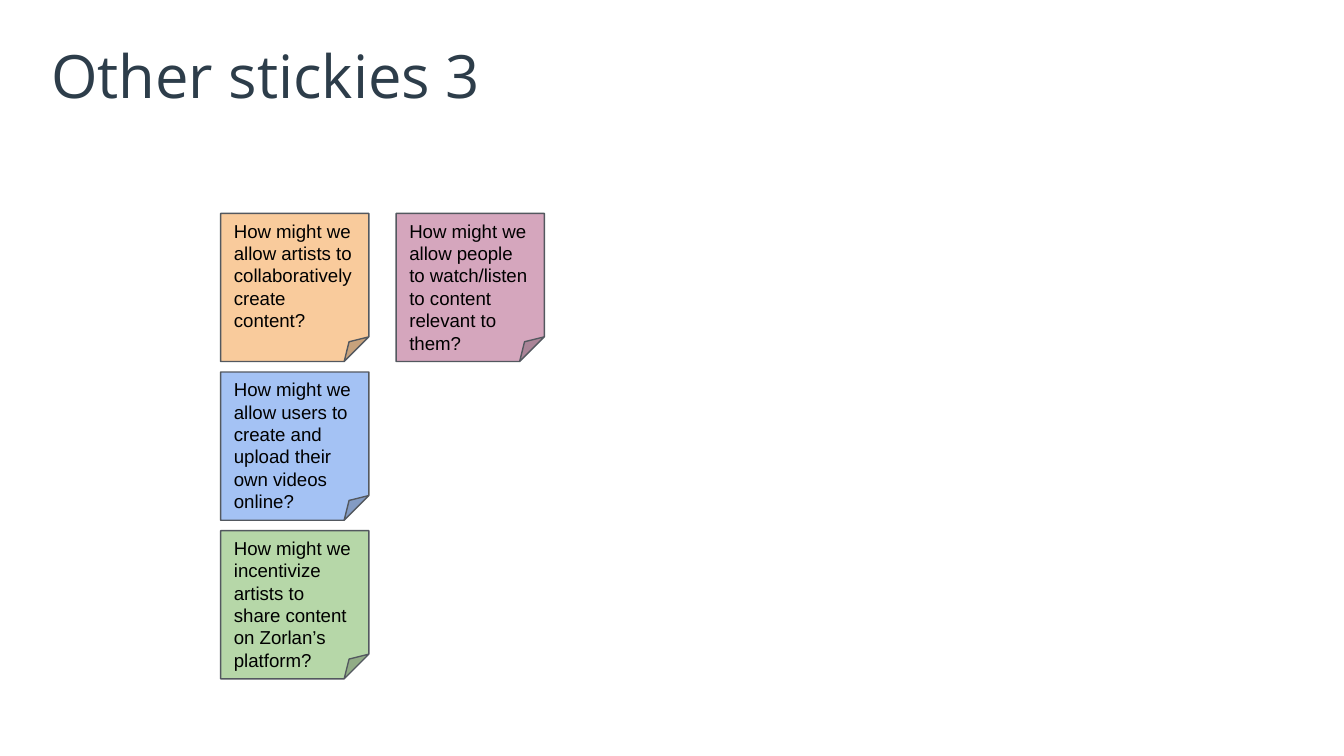
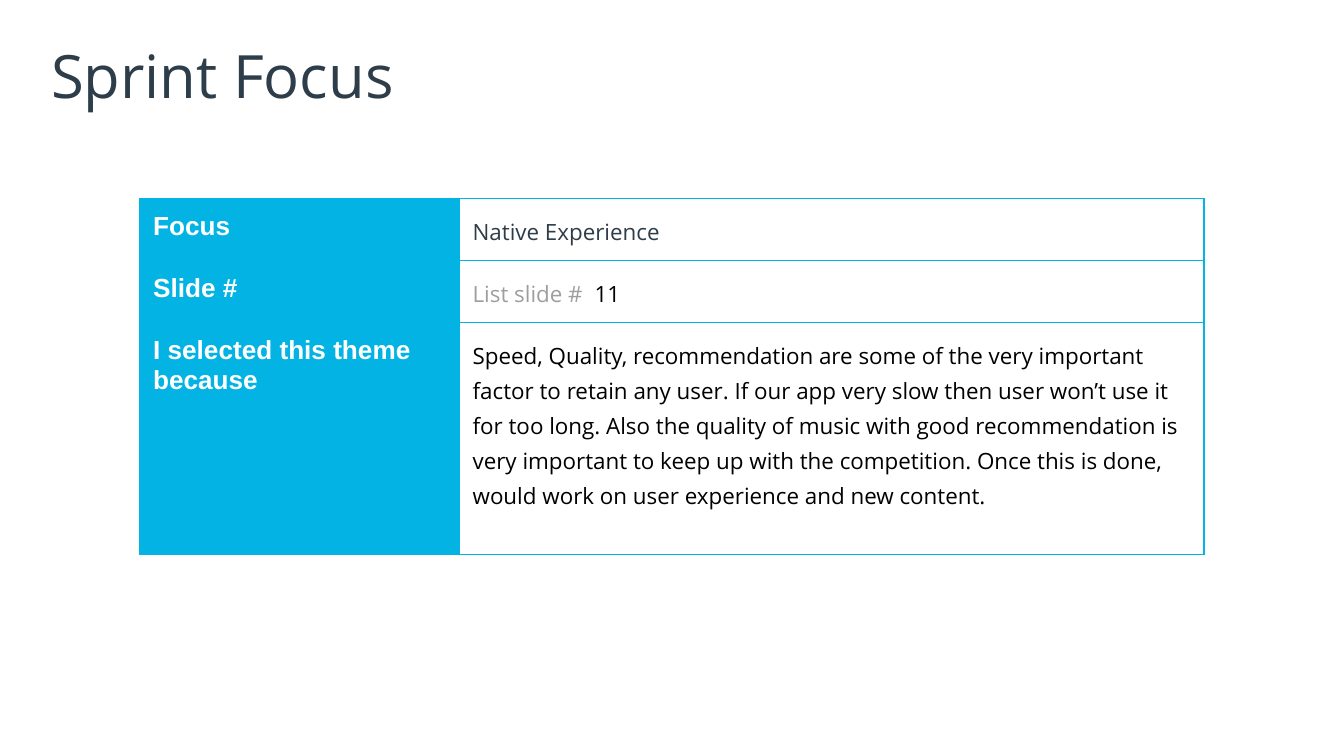
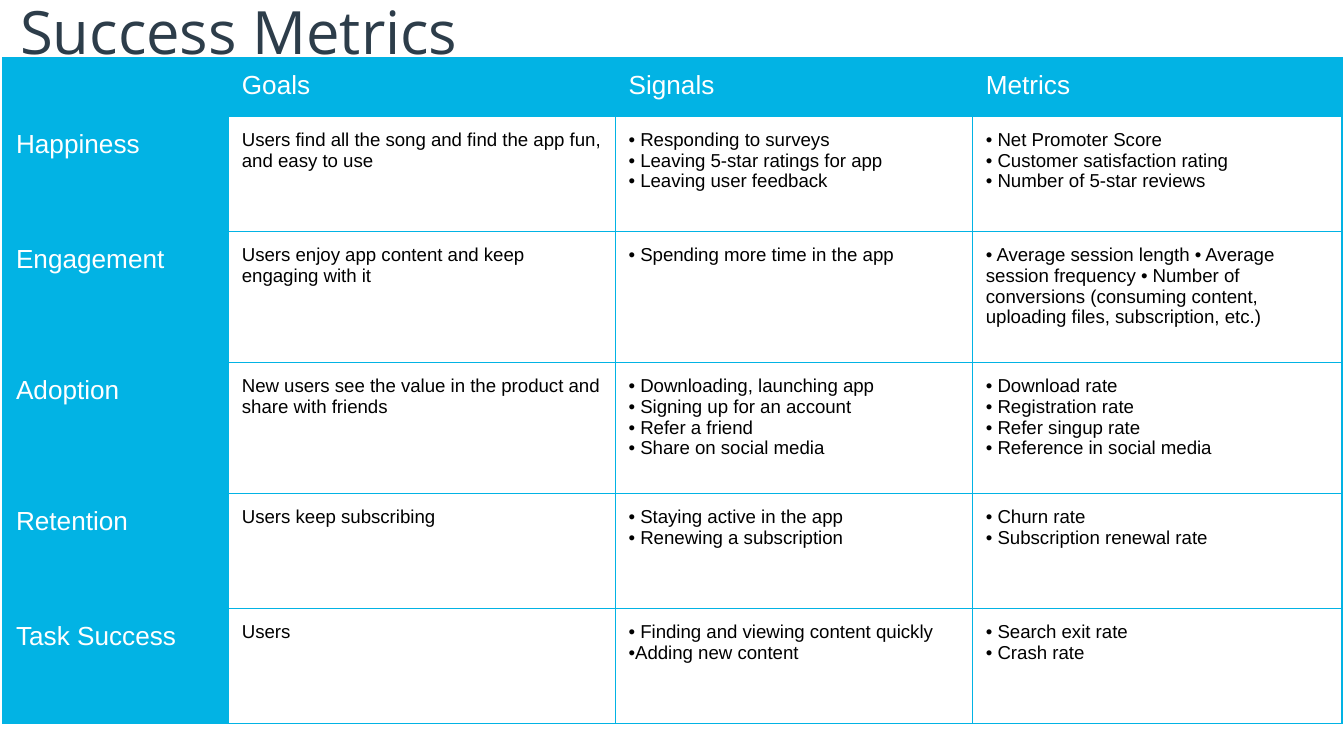
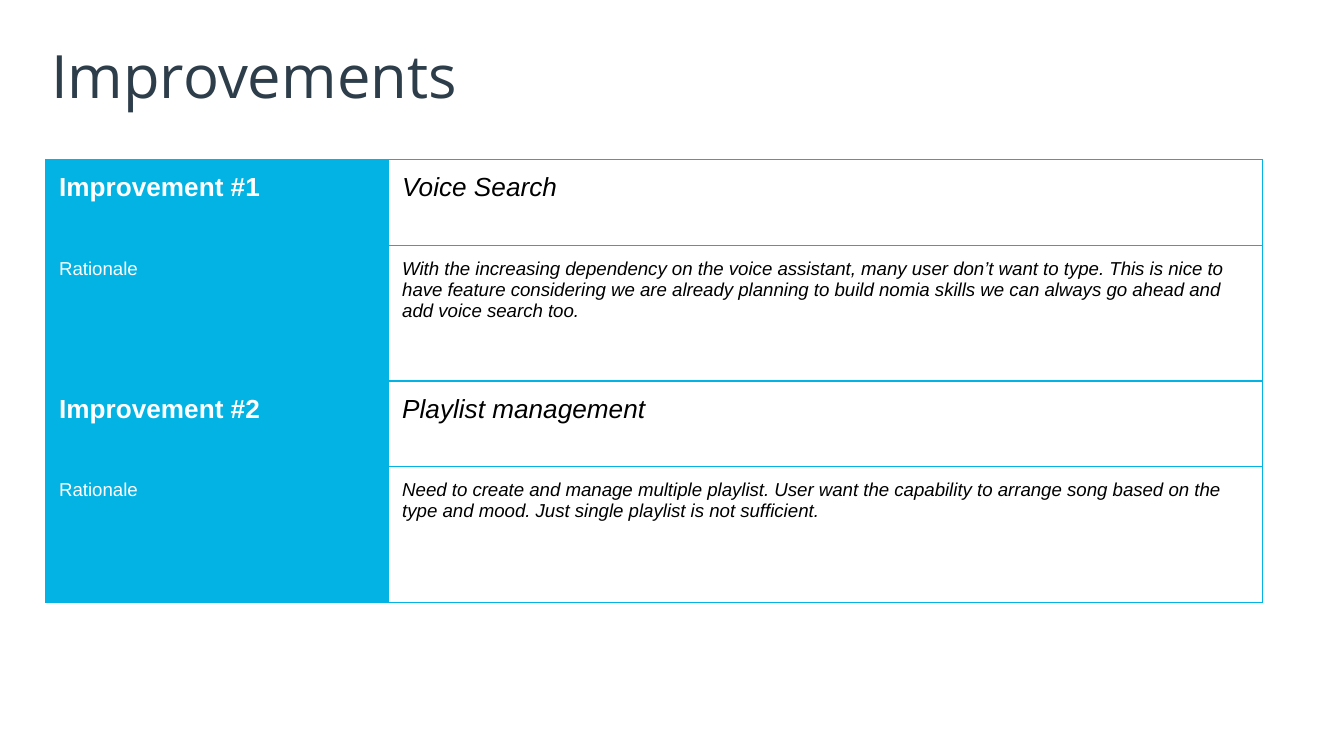
"""Builds four design sprint slides: stickies, focus, metrics and improvements."""
import pptx
import pptx.dml.color
import pptx.enum.shapes
import pptx.enum.text
import pptx.oxml
import pptx.oxml.ns
import pptx.util

Pt = pptx.util.Pt
RGBColor = pptx.dml.color.RGBColor
Anchor = pptx.enum.text.MSO_ANCHOR

WHITE = RGBColor(0xFF, 0xFF, 0xFF)
BLACK = RGBColor(0, 0, 0)
CYAN = RGBColor(0x02, 0xB3, 0xE4)
TITLE_INK = RGBColor(0x2D, 0x3D, 0x4A)
FOCUS_INK = RGBColor(0x2E, 0x3D, 0x49)
HINT_GREY = RGBColor(0x9E, 0x9E, 0x9E)
STICKY_EDGE = RGBColor(0x53, 0x58, 0x5F)
ORANGE = RGBColor(0xF9, 0xCB, 0x9C)
BLUE = RGBColor(0xA4, 0xC2, 0xF4)
GREEN = RGBColor(0xB6, 0xD7, 0xA8)
PINK = RGBColor(0xD5, 0xA6, 0xBD)

TITLE = {"name": "Open Sans", "size": Pt(32)}
ANSWER = {"name": "Open Sans", "size": Pt(12), "bold": False}
BODY = {"name": "Arial", "size": Pt(10), "bold": False}
HEADING = {"name": "Arial", "size": Pt(14), "bold": False}
LABEL = HEADING | {"bold": True}
ITALIC = {"italic": True}

TITLE_BOX = (24.5, 17.3, 671, 45.4)
STICKY_SIZE = 79.4
STICKY_STEP = (94, 85)
STICKIES = [
    (0, 0, ORANGE, "How might we allow artists to collaboratively create content?"),
    (0, 1, BLUE, "How might we allow users to create and upload their own videos online?"),
    (0, 2, GREEN, "How might we incentivize artists to share content on Zorlan’s platform?"),
    (1, 0, PINK, "How might we allow people to watch/listen to content relevant to them?"),
]

FOCUS = [
    ("Focus", [("Native Experience", FOCUS_INK)]),
    ("Slide #", [("List slide # ", HINT_GREY), (" 11", BLACK)]),
    ("I selected this theme because", [(
        "Speed, Quality, recommendation are some of the very important factor to "
        "retain any user. If our app very slow then user won’t use it for too long. "
        "Also the quality of music with good recommendation is very important to keep "
        "up with the competition. Once this is done, would work on user experience "
        "and new content.", BLACK)]),
]

METRICS = [
    ("", "Goals", "Signals", "Metrics"),
    ("Happiness",
     "Users find all the song and find the app fun, and easy to use",
     "• Responding to surveys\n• Leaving 5-star ratings for app\n• Leaving user feedback",
     "• Net Promoter Score\n• Customer satisfaction rating\n• Number of 5-star reviews"),
    ("Engagement",
     "Users enjoy app content and keep engaging with it",
     "• Spending more time in the app",
     "• Average session length • Average session frequency • Number of conversions "
     "(consuming content, uploading files, subscription, etc.)"),
    ("Adoption",
     "New users see the value in the product and share with friends",
     "• Downloading, launching app\n• Signing up for an account\n"
     "• Refer a friend\n• Share on social media",
     "• Download rate\n• Registration rate\n• Refer singup rate\n"
     "• Reference in social media"),
    ("Retention",
     "Users keep subscribing",
     "• Staying active in the app\n• Renewing a subscription",
     "• Churn rate\n• Subscription renewal rate"),
    ("Task Success",
     "Users",
     "• Finding and viewing content quickly •Adding new content",
     "• Search exit rate\n• Crash rate"),
]

IMPROVEMENTS = [
    ("Voice Search",
     "With the increasing dependency on the voice assistant, many user don’t want to "
     "type. This is nice to have feature considering we are already planning to build "
     "nomia skills we can always go ahead and add voice search too."),
    ("Playlist management",
     "Need to create and manage multiple playlist. User want the capability to arrange "
     "song based on the type and mood. Just single playlist is not sufficient."),
]


def set_values(target, values):
    """Set each named value on the target."""
    for name, value in values.items():
        setattr(target, name, value)


def add_span(para, text, color, style):
    """Add one styled run to a paragraph."""
    span = para.add_run()
    span.text = text
    set_values(span.font, style)
    span.font.color.rgb = color


def set_margins(target, left, top, right, bottom):
    """Set the four inner margins of a cell or text frame."""
    set_values(target, {"margin_left": Pt(left), "margin_top": Pt(top),
                        "margin_right": Pt(right), "margin_bottom": Pt(bottom)})


def add_page(deck, title, box=TITLE_BOX):
    """Add a blank page with its title."""
    page = deck.slides.add_slide(deck.slide_layouts[6])
    frame = page.shapes.add_textbox(*map(Pt, box)).text_frame
    set_values(frame, {"word_wrap": True, "vertical_anchor": Anchor.MIDDLE})
    set_margins(frame, 2.9, 2.9, 2.9, 2.9)
    add_span(frame.paragraphs[0], title, TITLE_INK, TITLE)
    return page


def add_sticky(page, left, top, color, text):
    """Draw one sticky note at the given corner."""
    note = page.shapes.add_shape(
        pptx.enum.shapes.MSO_SHAPE.FOLDED_CORNER,
        Pt(left), Pt(top), Pt(STICKY_SIZE), Pt(STICKY_SIZE))
    note.shadow.inherit = False
    note.fill.solid()
    note.fill.fore_color.rgb = color
    note.line.color.rgb = STICKY_EDGE
    note.line.width = Pt(0.75)
    frame = note.text_frame
    set_values(frame, {"word_wrap": True, "vertical_anchor": Anchor.TOP})
    set_margins(frame, 7.2, 3.3, 7.2, 0)
    para = frame.paragraphs[0]
    set_values(para, {"alignment": pptx.enum.text.PP_ALIGN.LEFT,
                      "line_spacing": Pt(12)})
    add_span(para, text, BLACK, BODY)


def add_grid(page, left, top, widths, heights):
    """Add an unstyled table with the given column widths and row heights."""
    table = page.shapes.add_table(
        len(heights), len(widths), Pt(left), Pt(top),
        Pt(sum(widths)), Pt(sum(heights))).table
    set_values(table, {"first_row": False, "horz_banding": False})
    for column, width in zip(table.columns, widths):
        column.width = Pt(width)
    for row, height in zip(table.rows, heights):
        row.height = Pt(height)
    return table


def fill_cell(cell, fill, paras, style, line_spacing=None):
    """Fill a cell with paragraphs of (text, colour) runs and draw its borders."""
    properties = cell._tc.get_or_add_tcPr()
    for side in ("lnL", "lnR", "lnT", "lnB"):
        properties.append(pptx.oxml.parse_xml(
            f'<a:{side} {pptx.oxml.ns.nsdecls("a")} w="{Pt(0.75)}"><a:solidFill>'
            f'<a:srgbClr val="{CYAN}"/></a:solidFill></a:{side}>'))
    cell.fill.solid()
    cell.fill.fore_color.rgb = fill
    margin = 7.2 if paras else 0
    set_margins(cell, margin, margin, margin, margin)
    frame = cell.text_frame
    for index, spans in enumerate(paras):
        para = frame.add_paragraph() if index else frame.paragraphs[0]
        para.line_spacing = line_spacing
        for text, color in spans:
            add_span(para, text, color, style)


def fill_text(cell, text, style, header):
    """Fill a header or body cell with one paragraph per line of text."""
    fill, ink = (CYAN, WHITE) if header else (WHITE, BLACK)
    paras = [[(line, ink)] for line in text.splitlines()]
    fill_cell(cell, fill, paras, style)


def build_stickies(deck, left, top):
    """Build the page of sticky notes."""
    page = add_page(deck, "Other stickies 3")
    for column, row, color, text in STICKIES:
        add_sticky(page, left + column * STICKY_STEP[0],
                   top + row * STICKY_STEP[1], color, text)


def build_focus(deck, left, top):
    """Build the sprint focus page."""
    page = add_page(deck, "Sprint Focus")
    table = add_grid(page, left, top, [171.2, 399], [33.2, 33.2, 124.4])
    for row, (label, spans) in enumerate(FOCUS):
        fill_text(table.cell(row, 0), label, LABEL, True)
        fill_cell(table.cell(row, 1), WHITE, [spans], ANSWER, 1.15)


def build_metrics(deck, left, top):
    """Build the success metrics page."""
    page = add_page(deck, "Success Metrics", (7.9, -6.5, 241.2, 45.4))
    table = add_grid(page, left, top, [121, 207.2, 191.4, 198],
                     [30.9, 61.7, 70.2, 70.2, 61.7, 61.7])
    for row, texts in enumerate(METRICS):
        for column, text in enumerate(texts):
            header = row == 0 or column == 0
            fill_text(table.cell(row, column), text,
                      HEADING if header else BODY, header)


def build_improvements(deck, left, top):
    """Build the improvements page."""
    page = add_page(deck, "Improvements")
    table = add_grid(page, left, top, [183.8, 468], [46, 72.6] * len(IMPROVEMENTS))
    for index, (name, rationale) in enumerate(IMPROVEMENTS):
        rows = [(f"Improvement #{index + 1}", name, LABEL, HEADING),
                ("Rationale", rationale, BODY, BODY)]
        for row, (label, text, label_style, style) in enumerate(rows, 2 * index):
            fill_text(table.cell(row, 0), label, label_style, True)
            fill_text(table.cell(row, 1), text, style | ITALIC, False)


def main():
    """Build and save the deck."""
    deck = pptx.Presentation()
    set_values(deck, {"slide_width": Pt(720), "slide_height": Pt(405)})
    build_stickies(deck, 118.2, 114.3)
    build_focus(deck, 74.8, 106.4)
    build_metrics(deck, 1.4, 30.9)
    build_improvements(deck, 24.5, 85.5)
    deck.save("out.pptx")


if __name__ == "__main__":
    main()
